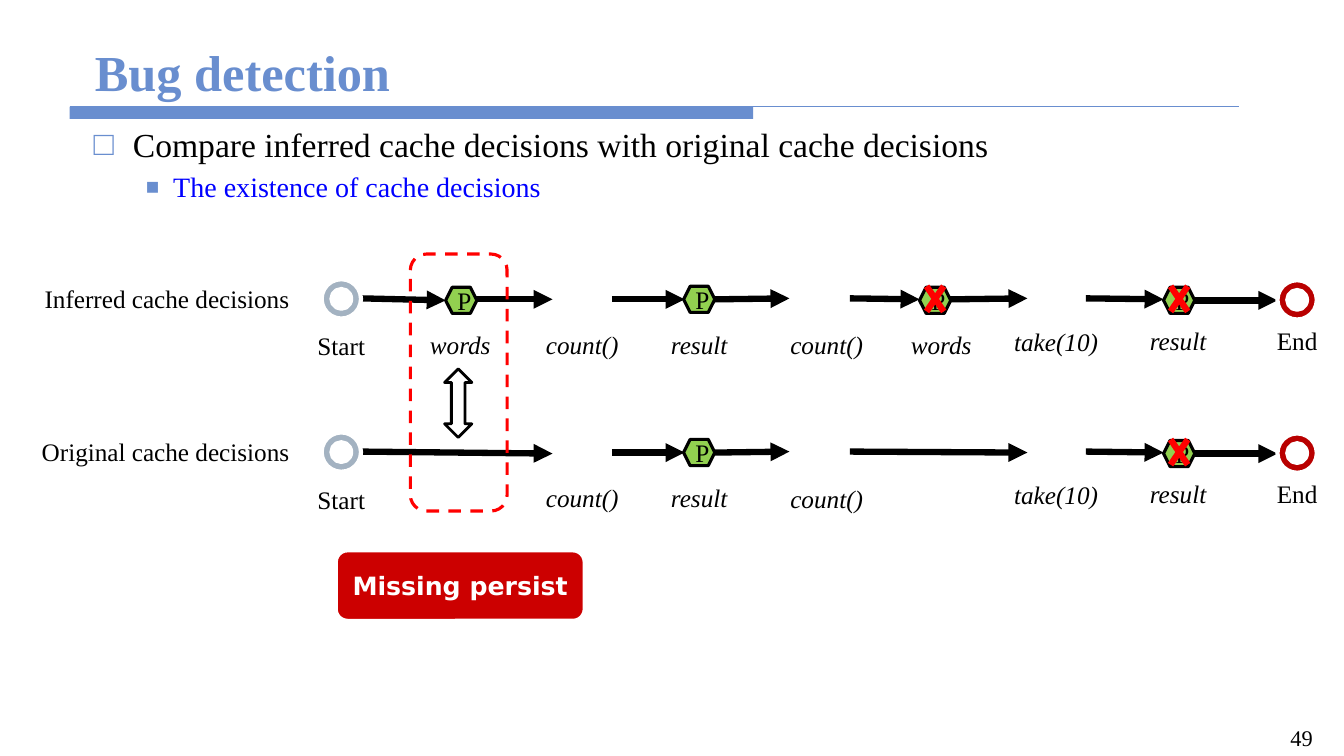
from lxml.etree import SubElement
from pptx import Presentation
from pptx.dml.color import RGBColor
from pptx.enum.dml import MSO_LINE
from pptx.enum.shapes import MSO_CONNECTOR, MSO_SHAPE as SHAPE
from pptx.enum.text import MSO_ANCHOR as ANCHOR, MSO_AUTO_SIZE, PP_ALIGN as ALIGN
from pptx.oxml.ns import qn
from pptx.util import Emu, Pt

PX = 9144  # 100 px to the inch
SERIF = "Times New Roman"
COLORS = {
    "theme": "698ECF", "black": "000000", "white": "FFFFFF", "blue": "0000FF",
    "red": "FF0000", "persist": "92D050", "start": "A3B2C1", "end": "B90000",
    "alert": "CC0000",
}
ROW_GAP = 152

# Names under the steps: text, left, top, width, height
SHARED_NAMES = [
    ("take(10)", 992, 319, 111, 40),
    ("count()", 527, 324, 101, 35),
    ("count()", 768, 322, 104, 40),
    ("result", 643, 324, 101, 35),
    ("result", 1118, 320, 101, 35),
]
INFERRED_NAMES = [("words", 406, 324, 101, 35), ("words", 883, 324, 101, 35)]

# Arrows: x1, y1, x2, y2
SHARED_ARROWS = [
    (607, 297, 679, 297), (709, 297, 783, 296),
    (1077, 296, 1154, 297), (1184, 298, 1267, 298),
]
INFERRED_ARROWS = [
    (358, 296, 442, 298), (471, 297, 548, 297),
    (843, 296, 912, 297), (942, 297, 1019, 296),
]
ORIGINAL_ARROWS = [(358, 296, 548, 298), (843, 296, 1019, 297)]

# Persist marks: left, top, crossed out
SHARED_PERSISTS = [(678, 284, False), (1154, 285, True)]
INFERRED_PERSISTS = [(442, 285, False), (912, 285, True)]


def px(*lengths):
    return [Emu(length * PX) for length in lengths]


def color(name):
    return RGBColor.from_string(COLORS[name])


def style_font(para, size, ink="black", name=SERIF, bold=False, italic=False):
    font = para.font
    font.name, font.size, font.bold, font.italic = name, Pt(size), bold, italic
    font.color.rgb = color(ink)


def add_label(shapes, text, left, top, width, height, size=18,
              align=ALIGN.CENTER, anchor=ANCHOR.MIDDLE, italic=False):
    box = shapes.add_textbox(*px(left, top, width, height))
    frame = box.text_frame
    frame.word_wrap = True
    frame.vertical_anchor = anchor
    para = frame.paragraphs[0]
    para.text = text
    para.alignment = align
    style_font(para, size, italic=italic)


def add_block(shapes, kind, left, top, width, height, fill=None, line=None, weight=1):
    block = shapes.add_shape(kind, *px(left, top, width, height))
    block.shadow.inherit = False
    if fill:
        block.fill.solid()
        block.fill.fore_color.rgb = color(fill)
    else:
        block.fill.background()
    if line:
        block.line.color.rgb = color(line)
        block.line.width = Pt(weight)
    else:
        block.line.fill.background()
    return block


def add_line(shapes, x1, y1, x2, y2, ink="black", weight=4.5, arrow=False):
    line = shapes.add_connector(MSO_CONNECTOR.STRAIGHT, *px(x1, y1, x2, y2))
    line.line.color.rgb = color(ink)
    line.line.width = Pt(weight)
    if arrow:
        SubElement(line.line._get_or_add_ln(), qn("a:tailEnd"), type="triangle")
    SubElement(line._element.spPr, qn("a:effectLst"))


def add_persist(shapes, left, top, crossed):
    mark = add_block(shapes, SHAPE.HEXAGON, left, top, 31, 26, "persist", "black", 2.25)
    frame = mark.text_frame
    frame.margin_left, frame.margin_right = px(7, 7)
    frame.margin_top, frame.margin_bottom = px(4, 4)
    frame.vertical_anchor = ANCHOR.MIDDLE
    para = frame.paragraphs[0]
    para.text = "P"
    para.alignment = ALIGN.CENTER
    style_font(para, 18)
    if crossed:
        x1, x2, y1, y2 = left + 7, left + 24, top - 1, top + 24
        add_line(shapes, x1, y1, x2, y2, "red")
        add_line(shapes, x1, y2, x2, y1, "red")


def add_timeline(page, shift, names, arrows, persists):
    shapes = page.shapes.add_group_shape().shapes
    for text, left, top, width, height in names:
        add_label(shapes, text, left, top + shift, width, height, italic=True)
    for x1, y1, x2, y2 in arrows:
        add_line(shapes, x1, y1 + shift, x2, y2 + shift, arrow=True)
    for left, top, crossed in persists:
        add_persist(shapes, left, top + shift, crossed)
    ends = [("Start", "start", 319, 277, 297, 323), ("End", "end", 1267, 278, 1245, 318)]
    for text, fill, left, top, text_left, text_top in ends:
        add_block(shapes, SHAPE.DONUT, left, top + shift, 39, 39, fill, "white", 3)
        add_label(shapes, text, text_left, text_top + shift, 83, 40)


def add_bullet(para, text, level, mark, mark_size, left, hanging, size, ink):
    para.text = text
    para.level = level
    props = para._p.get_or_add_pPr()
    props.set("marL", str(left * PX))
    props.set("indent", str(-hanging * PX))
    tint = SubElement(props, qn("a:buClr"))
    SubElement(tint, qn("a:srgbClr"), val=COLORS["theme"])
    SubElement(props, qn("a:buSzPct"), val=str(mark_size * 1000))
    SubElement(props, qn("a:buFont"), typeface=SERIF)
    SubElement(props, qn("a:buChar"), char=mark)
    style_font(para, size, ink)


def add_heading(page):
    # Rule under the title
    add_block(page.shapes, SHAPE.RECTANGLE, 69, 106, 678, 12, "theme")
    add_line(page.shapes, 69, 106, 1229, 106, "theme", 0.75)

    # Title
    title = page.shapes.title
    title.left, title.top, title.width, title.height = px(84, 33, 1167, 73)
    frame = title.text_frame
    frame.text = "Bug detection"
    frame.auto_size = MSO_AUTO_SIZE.NONE
    frame.vertical_anchor = ANCHOR.BOTTOM
    frame.paragraphs[0].alignment = ALIGN.LEFT
    style_font(frame.paragraphs[0], 36, "theme", bold=True)

    # Bullets
    frame = page.shapes.add_textbox(*px(83, 118, 1167, 107)).text_frame
    frame.word_wrap = True
    add_bullet(frame.paragraphs[0],
               "Compare inferred cache decisions with original cache decisions",
               0, "□", 100, 39, 39, 24, "black")
    detail = frame.add_paragraph()
    add_bullet(detail, "The existence of cache decisions",
               1, "■", 80, 79, 27, 20, "blue")
    detail.space_before = Pt(4)


def add_finding(page):
    # Difference between the two timelines
    add_block(page.shapes, SHAPE.UP_DOWN_ARROW, 441, 366, 27, 68, "white", "black", 2)
    frame = add_block(page.shapes, SHAPE.ROUNDED_RECTANGLE, 407, 252, 96, 255,
                      line="red", weight=2.25)
    frame.line.dash_style = MSO_LINE.DASH

    # Verdict
    verdict = add_block(page.shapes, SHAPE.ROUNDED_RECTANGLE, 333, 546, 247, 70,
                        "alert", "white", 3)
    verdict.text_frame.vertical_anchor = ANCHOR.MIDDLE
    para = verdict.text_frame.paragraphs[0]
    para.text = "Missing persist"
    para.alignment = ALIGN.CENTER
    style_font(para, 18, "white", "DejaVu Sans", bold=True)


def main():
    deck = Presentation()
    deck.slide_width, deck.slide_height = px(1333, 750)
    page = deck.slides.add_slide(deck.slide_layouts[5])
    add_heading(page)

    # Row labels and page number
    add_label(page.shapes, "Inferred cache decisions", 31, 265, 266, 62, align=ALIGN.RIGHT)
    add_label(page.shapes, "Original cache decisions", 11, 265 + ROW_GAP, 286, 62,
              align=ALIGN.RIGHT)
    add_label(page.shapes, "49", 1249, 713, 84, 35, size=16, anchor=ANCHOR.TOP)

    # Timelines
    add_timeline(page, 0, SHARED_NAMES + INFERRED_NAMES,
                 SHARED_ARROWS + INFERRED_ARROWS, SHARED_PERSISTS + INFERRED_PERSISTS)
    add_timeline(page, ROW_GAP, SHARED_NAMES,
                 SHARED_ARROWS + ORIGINAL_ARROWS, SHARED_PERSISTS)
    add_finding(page)
    deck.save("out.pptx")


if __name__ == "__main__":
    main()
